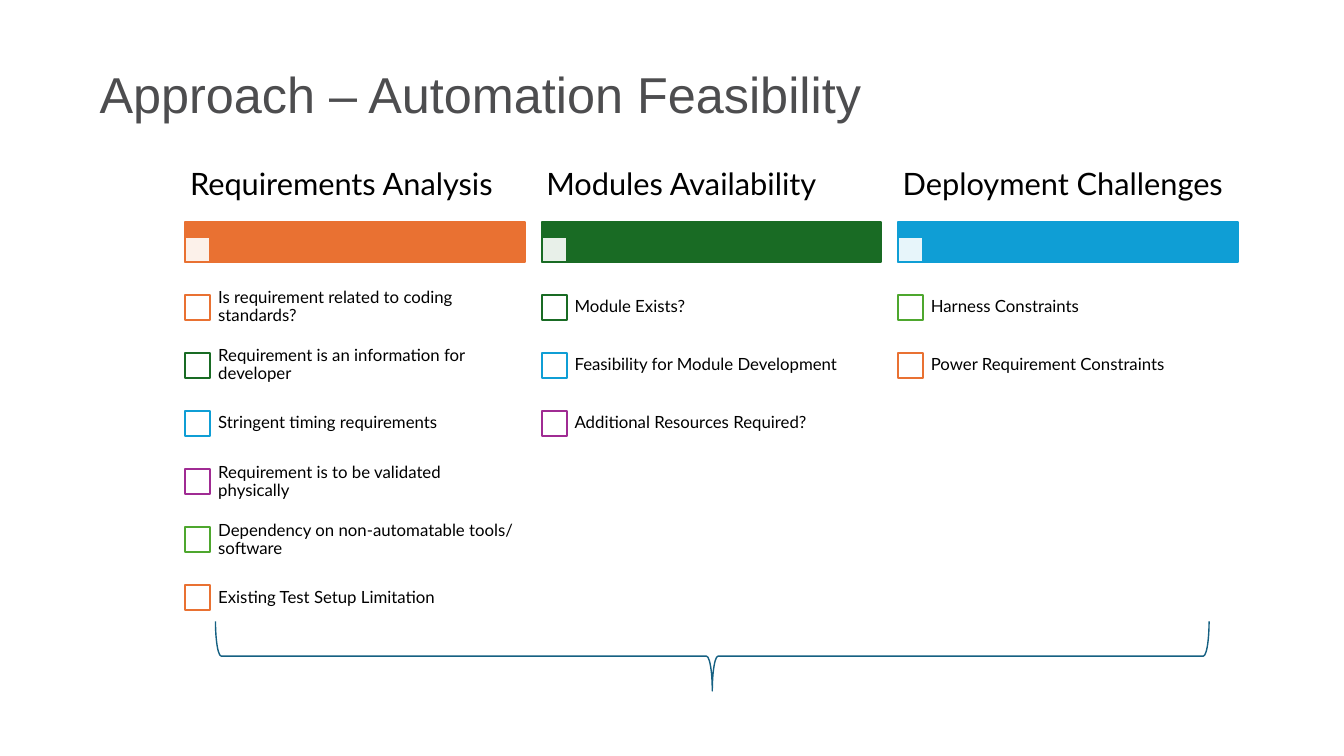
"""Build the automation feasibility slide with three checklists."""
from itertools import cycle

from lxml import etree
from pptx import Presentation
from pptx.dml.color import RGBColor
from pptx.enum.shapes import MSO_SHAPE
from pptx.enum.text import MSO_ANCHOR
from pptx.oxml.ns import qn
from pptx.util import Cm, Pt

RECTANGLE = MSO_SHAPE.RECTANGLE
BRACE = MSO_SHAPE.RIGHT_BRACE
TOP, MIDDLE = MSO_ANCHOR.TOP, MSO_ANCHOR.MIDDLE

ACCENTS = ["E97132", "196B24", "0F9ED5", "A02B93", "4EA72E"]
CHECKLISTS = {
    "Requirements Analysis": [
        "Is requirement related to coding standards?",
        "Requirement is an information for developer",
        "Stringent timing requirements",
        "Requirement is to be validated physically",
        "Dependency on non-automatable tools/ software",
        "Existing Test Setup Limitation",
    ],
    "Modules Availability": [
        "Module Exists?",
        "Feasibility for Module Development",
        "Additional Resources Required?",
    ],
    "Deployment Challenges": [
        "Harness Constraints",
        "Power Requirement Constraints",
    ],
}

COLUMN_LEFT, COLUMN_WIDTH, COLUMN_PITCH = 4.67, 8.56, 8.98
HEADING_TOP, HEADING_HEIGHT = 3.78, 1.8
BAR_TOP, BAR_HEIGHT = 5.59, 1.02
ITEM_TOP, ITEM_PITCH, ITEM_INDENT = 7.01, 1.465, 0.6
CHECKBOX = 0.63


def color(hex_code):
    return RGBColor.from_string(hex_code)


def write(frame, text, size=12, font="Lato", fill="000000", anchor=MIDDLE, insets=(0.23, 0.23)):
    frame.word_wrap = True
    frame.vertical_anchor = anchor
    frame.margin_left = frame.margin_right = Cm(insets[0])
    frame.margin_top = frame.margin_bottom = Cm(insets[1])
    paragraph = frame.paragraphs[0]
    paragraph.line_spacing = 0.9
    run = paragraph.add_run()
    run.text = text
    run.font.size = Pt(size)
    run.font.name = font
    run.font.color.rgb = color(fill)


class Board:
    def __init__(self, slide, line_width=1.5):
        self.slide = slide
        self.line_width = line_width

    def label(self, text, left, top, width, height, **style):
        box = self.slide.shapes.add_textbox(Cm(left), Cm(top), Cm(width), Cm(height))
        write(box.text_frame, text, **style)

    def outline(self, preset, left, top, width, height, line, line_width=None):
        shape = self.slide.shapes.add_shape(preset, Cm(left), Cm(top), Cm(width), Cm(height))
        shape.shadow.inherit = False
        shape.fill.background()
        shape.line.color.rgb = color(line)
        shape.line.width = Pt(line_width or self.line_width)
        return shape

    def block(self, left, top, width, height, line, fill="FFFFFF", opacity=100):
        shape = self.outline(RECTANGLE, left, top, width, height, line)
        shape.fill.solid()
        shape.fill.fore_color.rgb = color(fill)
        if opacity < 100:
            rgb = shape.fill._xPr.find(qn("a:solidFill"))[0]
            etree.SubElement(rgb, qn("a:alpha"), val=str(opacity * 1000))

    def heading(self, text, left, accent):
        self.block(left, BAR_TOP, COLUMN_WIDTH, BAR_HEIGHT, accent, fill=accent)
        self.block(left, BAR_TOP + BAR_HEIGHT - CHECKBOX, CHECKBOX, CHECKBOX, accent, opacity=90)
        self.label(text, left, HEADING_TOP, COLUMN_WIDTH, HEADING_HEIGHT, size=22, insets=(0.12, 0.08))

    def item(self, text, left, top, accent):
        self.block(left, top + (ITEM_PITCH - CHECKBOX) / 2, CHECKBOX, CHECKBOX, accent)
        self.label(text, left + ITEM_INDENT, top, COLUMN_WIDTH - ITEM_INDENT, ITEM_PITCH)

    def brace_below(self, left, top, width, height):
        brace = self.outline(BRACE, left + (width - height) / 2, top - (width - height) / 2,
                             height, width, "156082", line_width=1)
        brace.rotation = 90


def main():
    deck = Presentation()
    deck.slide_width, deck.slide_height = Cm(33.87), Cm(19.05)
    board = Board(deck.slides.add_slide(deck.slide_layouts[6]))
    board.label("Approach – Automation Feasibility", 2.26, 1.63, 29.31, 1.75,
                size=36, font="Arial", fill="4D4D4F", anchor=TOP, insets=(0.25, 0.13))
    item_accents = cycle(ACCENTS)
    for column, (heading, items) in enumerate(CHECKLISTS.items()):
        left = COLUMN_LEFT + column * COLUMN_PITCH
        board.heading(heading, left, ACCENTS[column])
        for row, item in enumerate(items):
            board.item(item, left, ITEM_TOP + row * ITEM_PITCH, next(item_accents))
    board.brace_below(5.43, 15.66, 25.04, 1.75)
    deck.save("out.pptx")


if __name__ == "__main__":
    main()
